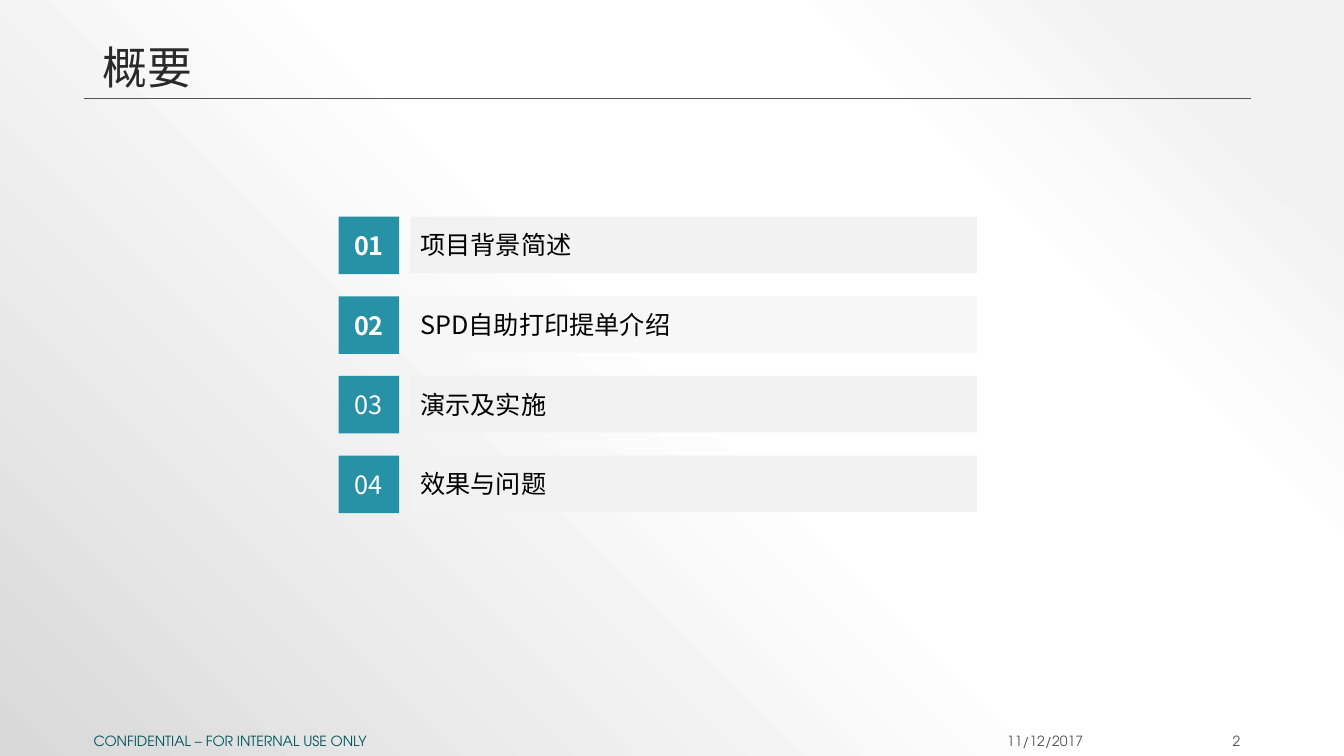
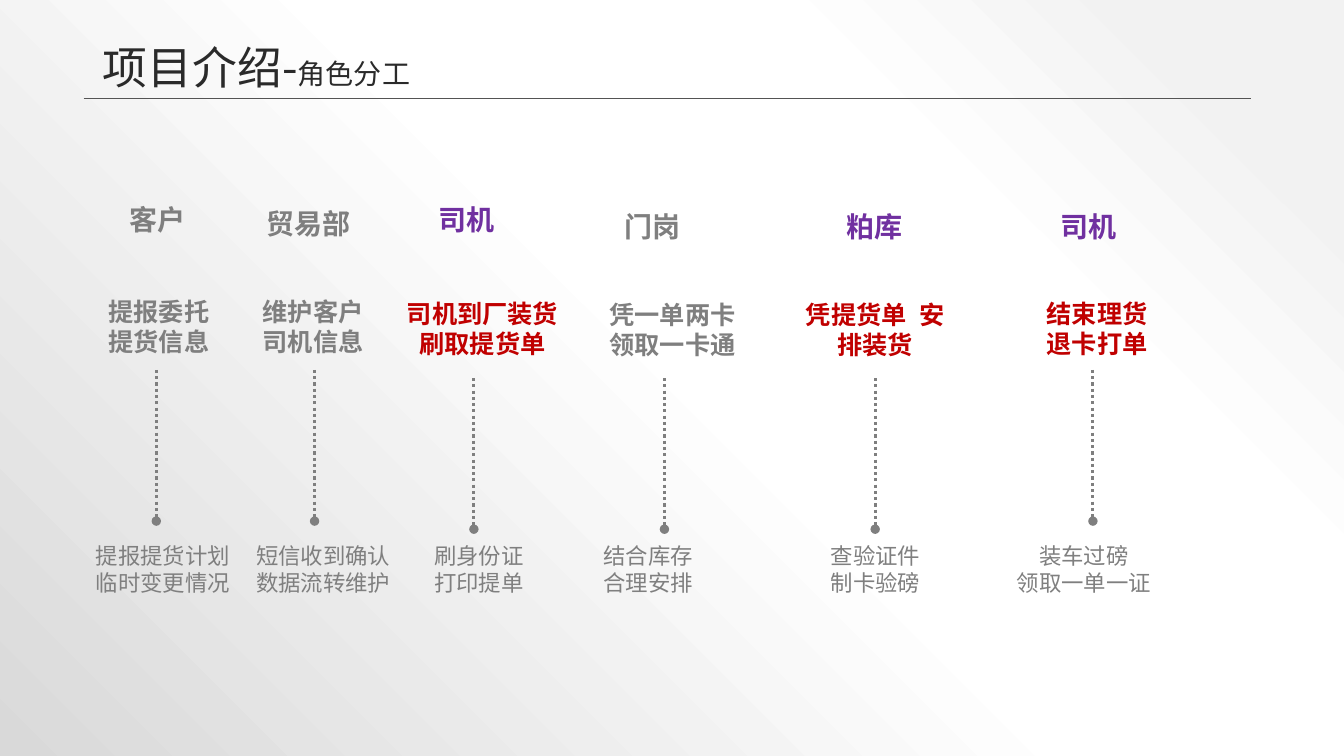
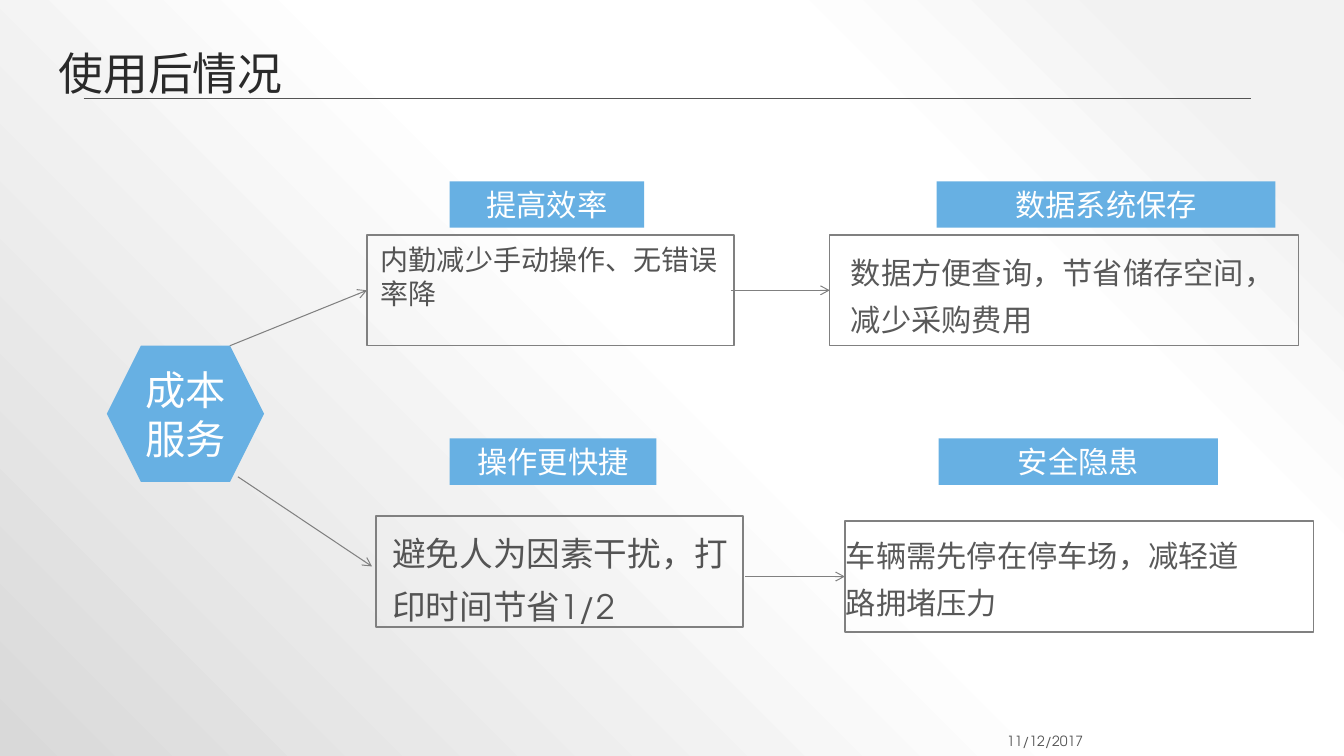
"""Build a three-slide deck on self-service printing of delivery notes."""
from dataclasses import dataclass, replace

from pptx import Presentation
from pptx import oxml
from pptx import util as u
from pptx.dml.color import RGBColor
from pptx.enum import dml, shapes, text
from pptx.oxml import ns
from pptx.presentation import Presentation as Deck
from pptx.shapes.autoshape import Shape
from pptx.shapes.connector import Connector
from pptx.slide import Slide
from pptx.text.text import TextFrame

Box = tuple[float, float, float, float]
Point = tuple[float, float]
LEFT, CENTER, RIGHT = text.PP_ALIGN.LEFT, text.PP_ALIGN.CENTER, text.PP_ALIGN.RIGHT
TOP, MIDDLE, BOTTOM = text.MSO_ANCHOR.TOP, text.MSO_ANCHOR.MIDDLE, text.MSO_ANCHOR.BOTTOM
RECT, HEXAGON = shapes.MSO_SHAPE.RECTANGLE, shapes.MSO_SHAPE.HEXAGON
DEFAULT_INSETS = (0.1, 0.05)
TIGHT_INSETS = (0.09, 0.04)


@dataclass(frozen=True)
class Style:
    """Character and paragraph look of one kind of text."""
    size: float
    color: str
    font: str = "Noto Sans CJK SC"
    bold: bool = False
    align: text.PP_ALIGN = LEFT
    spacing: float = 1.0


@dataclass(frozen=True)
class Theme:
    """Colours and type sizes of the whole deck."""
    east_asian: str = "Noto Sans CJK SC"
    teal: str = "2791A6"
    blue: str = "67B0E3"
    bar: str = "F2F2F2"
    pale_bar: str = "F7F7F7"
    rule: str = "545454"
    stem: str = "7F7F7F"
    frame: str = "808080"
    purple: str = "7030A0"
    red: str = "C00000"
    backdrop: tuple[tuple[int, str], ...] = (
        (10, "F2F2F2"), (28, "FFFFFF"), (48, "FFFFFF"), (100, "D9D9D9"))
    subtitle_size: float = 20
    title: Style = Style(32, "2A2A2A", spacing=0.9)
    footer: Style = Style(10, "545454", "TeX Gyre Adventor", align=RIGHT)
    notice: Style = Style(10, "00545D", "TeX Gyre Adventor")
    agenda: Style = Style(18, "000000")
    number: Style = Style(18, "FFFFFF", align=CENTER)
    role: Style = Style(20, "7F7F7F", bold=True, align=CENTER)
    task: Style = Style(18, "7F7F7F", bold=True, align=CENTER)
    detail: Style = Style(16, "7F7F7F", align=CENTER)
    heading: Style = Style(21.6, "FFFFFF", align=CENTER)
    hub: Style = Style(28.8, "FFFFFF", align=CENTER)
    benefit: Style = Style(21.6, "595959", spacing=1.3)


THEME = Theme()


@dataclass(frozen=True)
class AgendaItem:
    """One numbered row of the agenda."""
    topic: str
    fill: str = THEME.bar
    bold_number: bool = False


@dataclass(frozen=True)
class Role:
    """One column of the division of work."""
    name: str
    name_at: Point
    task: str
    task_at: tuple[float, float, float]
    detail: str
    detail_span: Point
    stem_start: Point
    name_color: str = THEME.stem
    task_color: str = THEME.stem


@dataclass(frozen=True)
class Benefit:
    """A heading over a framed statement."""
    heading: str
    heading_box: Box
    frame: Box
    statement: str
    statement_box: Box
    style: Style = THEME.benefit
    insets: Point = TIGHT_INSETS


AGENDA = (
    AgendaItem("项目背景简述", bold_number=True),
    AgendaItem("SPD自助打印提单介绍", THEME.pale_bar, True),
    AgendaItem("演示及实施"),
    AgendaItem("效果与问题"),
)

ROLES = (
    Role("客户", (0.92, 1.96), "提报委托提货信息", (0.92, 2.89, 1.31),
         "提报提货计划\n临时变更情况", (0.8, 1.63), (1.55, 3.67)),
    Role("贸易部", (2.42, 2), "维护客户司机信息", (2.45, 2.89, 1.31),
         "短信收到确认\n数据流转维护", (2.39, 1.63), (3.12, 3.67)),
    Role("司机", (3.99, 1.96), "司机到厂装货\n刷取提货单", (3.8, 2.91, 1.97),
         "刷身份证\n打印提单", (3.97, 1.56), (4.7, 3.75), THEME.purple, THEME.red),
    Role("门岗", (5.83, 2.03), "凭一单两卡\n领取一卡通", (5.91, 2.92, 1.52),
         "结合库存\n合理安排", (5.52, 1.82), (6.59, 3.75)),
    Role("粕库", (8.03, 2.03), "凭提货单\u2002安排装货", (7.86, 2.92, 1.64),
         "查验证件\n制卡验磅", (7.7, 1.97), (8.68, 3.75), THEME.purple, THEME.red),
    Role("司机", (10.16, 2.03), "结束理货\n退卡打单", (10.24, 2.91, 1.28),
         "装车过磅\n领取一单一证", (9.97, 1.56), (10.84, 3.67), THEME.purple, THEME.red),
)

BENEFITS = (
    Benefit("提高效率", (4.46, 1.8, 1.93, 0.46), (3.64, 2.33, 3.64, 1.1),
            "内勤减少手动操作、无错误率降", (3.68, 2.36, 3.57, 0.77),
            Style(20, "545454", "TeX Gyre Adventor"), DEFAULT_INSETS),
    Benefit("数据系统保存", (9.29, 1.8, 3.36, 0.46), (8.23, 2.33, 4.65, 1.1),
            "数据方便查询，节省储存空间，减少采购费用", (8.35, 2.37, 4.42, 1.04),
            replace(THEME.benefit, font="Arial")),
    Benefit("操作更快捷", (4.46, 4.35, 2.05, 0.46), (3.73, 5.12, 3.64, 1.1),
            "避免人为因素干扰，打印时间节省1/2", (3.8, 5.13, 3.64, 1.14),
            Style(24, "545454", "TeX Gyre Adventor", spacing=1.3)),
    Benefit("安全隐患", (9.31, 4.35, 2.77, 0.46), (8.38, 5.17, 4.65, 1.1),
            "车辆需先停在停车场，减轻道路拥堵压力", (8.3, 5.18, 4.23, 1.04)),
)

FLOWS = (
    ((2.28, 3.43), (3.64, 2.88)),
    ((2.36, 4.73), (3.69, 5.62)),
    ((7.25, 2.88), (8.23, 2.88)),
    ((7.39, 5.72), (8.38, 5.72)),
)


def rgb(color: str) -> RGBColor:
    """Turn a hex string into a colour."""
    return RGBColor.from_string(color)


def write(frame: TextFrame, content: str, style: Style, anchor: text.MSO_ANCHOR = TOP,
          insets: Point = DEFAULT_INSETS, wrap: bool = True) -> None:
    """Fill a text frame, one paragraph per line."""
    frame.text = content
    frame.word_wrap = wrap
    frame.auto_size = text.MSO_AUTO_SIZE.NONE
    frame.vertical_anchor = anchor
    frame.margin_left = frame.margin_right = u.Inches(insets[0])
    frame.margin_top = frame.margin_bottom = u.Inches(insets[1])
    for paragraph in frame.paragraphs:
        paragraph.alignment = style.align
        paragraph.line_spacing = style.spacing
        paragraph.font.size = u.Pt(style.size)
        paragraph.font.bold = style.bold
        paragraph.font.color.rgb = rgb(style.color)
        paragraph.font.name = style.font


def add_label(slide: Slide, box: Box, content: str, style: Style,
              anchor: text.MSO_ANCHOR = TOP, insets: Point = DEFAULT_INSETS) -> None:
    """Add a wrapped text box."""
    label = slide.shapes.add_textbox(*map(u.Inches, box))
    write(label.text_frame, content, style, anchor, insets)


def add_block(slide: Slide, box: Box, fill: str,
              preset: shapes.MSO_SHAPE = RECT) -> Shape:
    """Add a flat filled shape without outline."""
    block = slide.shapes.add_shape(preset, *map(u.Inches, box))
    block.shadow.inherit = False
    block.fill.solid()
    block.fill.fore_color.rgb = rgb(fill)
    block.line.fill.background()
    return block


def add_frame(slide: Slide, box: Box) -> None:
    """Add an empty outlined rectangle."""
    frame = slide.shapes.add_shape(RECT, *map(u.Inches, box))
    frame.shadow.inherit = False
    frame.fill.background()
    frame.line.color.rgb = rgb(THEME.frame)
    frame.line.width = u.Pt(1)


def add_line(slide: Slide, start: Point, end: Point, color: str, width: float,
             tip: str = "", dotted: bool = False) -> Connector:
    """Add a straight connector with an optional end mark."""
    line = slide.shapes.add_connector(
        shapes.MSO_CONNECTOR.STRAIGHT, *map(u.Inches, (*start, *end)))
    line.line.color.rgb = rgb(color)
    line.line.width = u.Pt(width)
    if dotted:
        line.line.dash_style = dml.MSO_LINE.ROUND_DOT
    properties = line.element.spPr
    if tip:
        outline = properties.find(ns.qn("a:ln"))
        outline.append(oxml.parse_xml(f'<a:tailEnd {ns.nsdecls("a")} type="{tip}"/>'))
    properties.append(oxml.parse_xml(f'<a:effectLst {ns.nsdecls("a")}/>'))
    return line


def paint_backdrop(deck: Deck) -> None:
    """Give the master a radial gradient centred on the top right corner."""
    master = deck.slide_master
    master.background.fill.solid()
    stops = "".join(f'<a:gs pos="{position * 1000}"><a:srgbClr val="{color}"/></a:gs>'
                    for position, color in THEME.backdrop)
    gradient = oxml.parse_xml(
        f'<a:gradFill {ns.nsdecls("a")} rotWithShape="1"><a:gsLst>{stops}</a:gsLst>'
        '<a:path path="circle"><a:fillToRect l="100000" b="100000"/></a:path></a:gradFill>')
    solid = master.element.xpath("p:cSld/p:bg/p:bgPr/a:solidFill")[0]
    solid.getparent().replace(solid, gradient)


def move_rule_to_master(deck: Deck, slide: Slide) -> None:
    """Draw the title rule once, on the master."""
    rule = add_line(slide, (0.83, 0.98), (12.41, 0.98), THEME.rule, 0.5)
    deck.slide_master.shapes.element.append(rule.element)


def add_titled_slide(deck: Deck, title: str, box: Box = (0.92, 0.21, 11.5, 0.77),
                     anchor: text.MSO_ANCHOR = BOTTOM, insets: Point = DEFAULT_INSETS,
                     style: Style = THEME.title) -> Slide:
    """Add a slide with its title in the title placeholder."""
    slide = deck.slides.add_slide(deck.slide_layouts[5])
    heading = slide.shapes.title
    heading.left, heading.top, heading.width, heading.height = map(u.Inches, box)
    write(heading.text_frame, title, style, anchor, insets)
    return slide


def add_date(slide: Slide) -> None:
    """Add the footer date."""
    add_label(slide, (9.31, 7.25, 1.53, 0.2), "11/12/2017", THEME.footer, MIDDLE)


def build_agenda(deck: Deck) -> Slide:
    """Build the numbered overview."""
    slide = add_titled_slide(deck, "概要", style=replace(THEME.title, font="Calibri"))
    add_date(slide)
    add_label(slide, (11.15, 7.25, 1.25, 0.2), "2", THEME.footer, MIDDLE)
    add_label(slide, (0.83, 7.25, 8.3, 0.2), "CONFIDENTIAL – FOR INTERNAL USE ONLY",
              THEME.notice, MIDDLE)
    for row, item in enumerate(AGENDA):
        top = 2.15 + row * 0.79
        bar = add_block(slide, (4.07, top, 5.62, 0.56), item.fill)
        write(bar.text_frame, item.topic, THEME.agenda, MIDDLE)
        badge = add_block(slide, (3.36, top, 0.6, 0.57), THEME.teal)
        write(badge.text_frame, f"{row + 1:02}",
              replace(THEME.number, bold=item.bold_number), MIDDLE, wrap=False)
    return slide


def build_roles(deck: Deck) -> Slide:
    """Build the division of work by role."""
    slide = add_titled_slide(deck, "项目介绍-")
    subtitle = slide.shapes.title.text_frame.paragraphs[0].add_run()
    subtitle.text = "角色分工"
    subtitle.font.size = u.Pt(THEME.subtitle_size)
    for role in ROLES:
        add_label(slide, (*role.name_at, 1.28, 0.44), role.name,
                  replace(THEME.role, color=role.name_color))
        add_label(slide, (*role.task_at, 0.71), role.task,
                  replace(THEME.task, color=role.task_color))
        left, width = role.detail_span
        add_label(slide, (left, 5.33, width, 0.64), role.detail, THEME.detail)
        x, top = role.stem_start
        add_line(slide, (x, top), (x, top + 1.5), THEME.stem, 2.25, "oval", dotted=True)
    return slide


def build_results(deck: Deck) -> Slide:
    """Build the benefits that follow from the change."""
    slide = add_titled_slide(deck, "使用后情况", (0.46, 0.13, 12, 1.25), MIDDLE, (0.12, 0.06))
    add_date(slide)
    hub = add_block(slide, (1.06, 3.43, 1.56, 1.35), THEME.blue, HEXAGON)
    write(hub.text_frame, "成本服务", THEME.hub, MIDDLE, TIGHT_INSETS)
    for benefit in BENEFITS:
        add_frame(slide, benefit.frame)
        banner = add_block(slide, benefit.heading_box, THEME.blue)
        write(banner.text_frame, benefit.heading, THEME.heading, MIDDLE, TIGHT_INSETS)
        add_label(slide, benefit.statement_box, benefit.statement, benefit.style,
                  insets=benefit.insets)
    for start, end in FLOWS:
        add_line(slide, start, end, THEME.frame, 0.75, "arrow")
    return slide


def set_east_asian_font(slide: Slide) -> None:
    """Name the Chinese typeface beside every Latin one."""
    for latin in list(slide.element.iter(ns.qn("a:latin"))):
        latin.addnext(oxml.parse_xml(
            f'<a:ea {ns.nsdecls("a")} typeface="{THEME.east_asian}"/>'))


def main() -> None:
    """Build and save the deck."""
    deck = Presentation()
    deck.slide_width, deck.slide_height = u.Inches(13.33), u.Inches(7.5)
    paint_backdrop(deck)
    slides = [build(deck) for build in (build_agenda, build_roles, build_results)]
    move_rule_to_master(deck, slides[0])
    for slide in slides:
        set_east_asian_font(slide)
    deck.save("out.pptx")


main()
